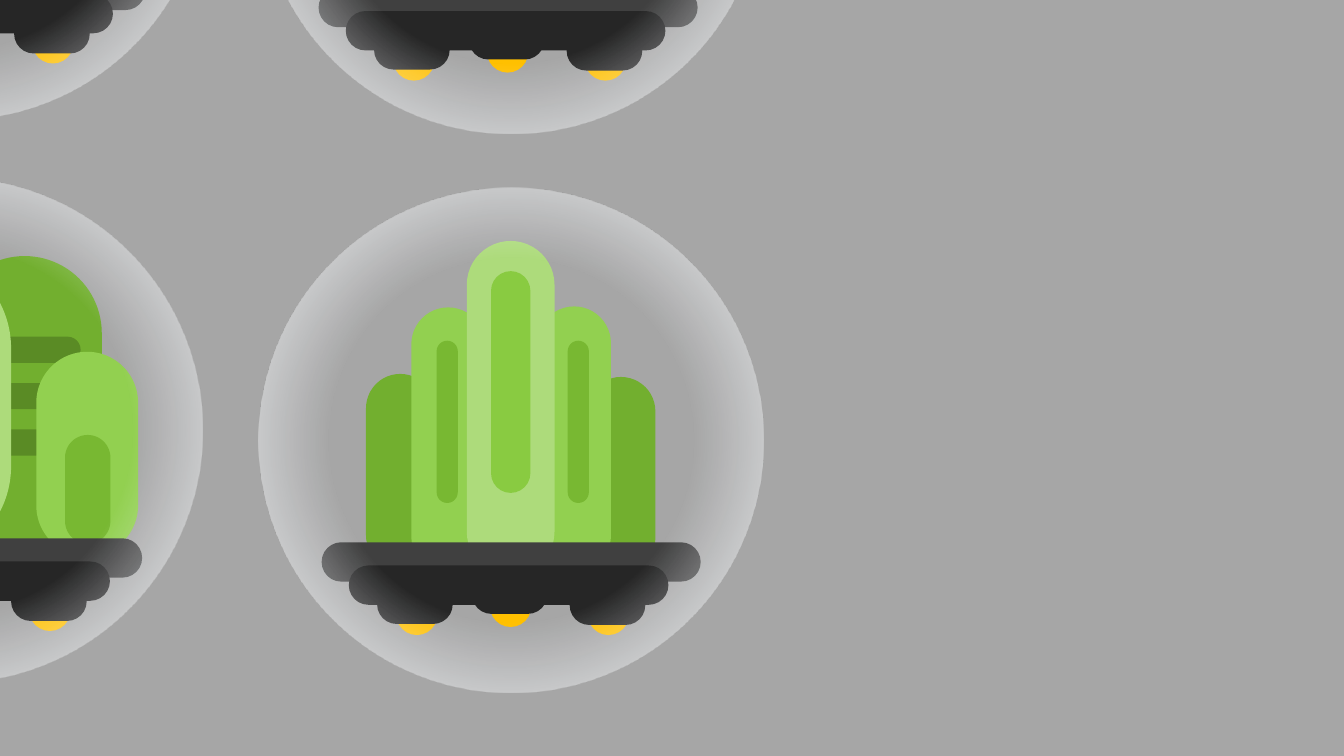
from dataclasses import dataclass

from lxml.etree import fromstring
from pptx import Presentation
from pptx.dml.color import RGBColor
from pptx.enum.shapes import MSO_SHAPE
from pptx.oxml.ns import qn
from pptx.util import Inches


@dataclass(frozen=True)
class Theme:
    """Colours of the slide."""
    back: str = "A6A6A6"
    pale: str = "ADDB7B"
    light: str = "92D050"
    fresh: str = "89CB41"
    moss: str = "78B832"
    leaf: str = "72AF2F"
    deep: str = "5A8B25"
    flame: str = "FFC000"
    deck: str = "404040"
    hull: str = "262626"
    haze: str = "F7FAFD"
    white: str = "FFFFFF"


THEME = Theme()
DOME = 5.01
LEFT, MID, RIGHT = (
    ((0.55, 0.42), (0.74, 0.44)),
    ((1.49, 0.32), (1.67, 0.36)),
    ((2.46, 0.43), (2.64, 0.44)),
)
GLOW = f"""
<a:gradFill xmlns:a="http://schemas.openxmlformats.org/drawingml/2006/main" rotWithShape="1">
  <a:gsLst>
    <a:gs pos="51000"><a:srgbClr val="{THEME.haze}"><a:alpha val="0"/></a:srgbClr></a:gs>
    <a:gs pos="100000"><a:srgbClr val="{THEME.white}"/></a:gs>
  </a:gsLst>
  <a:path path="circle"><a:fillToRect l="50000" t="50000" r="50000" b="50000"/></a:path>
</a:gradFill>"""


def add_form(group, kind, left, top, width, height):
    """Add a preset shape with no line and no shadow."""
    form = group.shapes.add_shape(
        kind, Inches(left), Inches(top), Inches(width), Inches(height))
    form.shadow.inherit = False
    form.line.fill.background()
    return form


def add_pill(group, colour, left, top, width, height, turn=0):
    """Add a bar with fully round ends."""
    pill = add_form(group, MSO_SHAPE.ROUNDED_RECTANGLE, left, top, width, height)
    pill.adjustments[0] = 0.5
    pill.rotation = turn
    pill.fill.solid()
    pill.fill.fore_color.rgb = RGBColor.from_string(colour)


def add_base(group, left, top, pods):
    """Add the dark deck with its pods and flames."""
    for _, (across, down) in pods:
        add_pill(group, THEME.flame, left + across, top + down, 0.41, 0.48)
    add_pill(group, THEME.deck, left, top, 3.76, 0.39)
    add_pill(group, THEME.hull, left + 0.27, top + 0.23, 3.17, 0.39)
    for (across, down), _ in pods:
        add_pill(group, THEME.hull, left + across, top + down, 0.75, 0.39)


def add_dome(group, left, top):
    """Add the clear globe that glows towards its rim."""
    dome = add_form(group, MSO_SHAPE.OVAL, left, top, DOME, DOME)
    dome.fill.background()
    props = dome.element.spPr
    props.replace(props.find(qn("a:noFill")), fromstring(GLOW))


def add_globe(slide, plants, base, pods, dome):
    """Add one globe: plants, then the base, then the dome on top."""
    group = slide.shapes.add_group_shape()
    for plant in plants:
        add_pill(group, *plant)
    add_base(group, *base, pods)
    add_dome(group, *dome)


def list_bush():
    """List the parts of the striped bush."""
    stripes = [(THEME.deep, -0.1 + 0.035 * row, 3.34 + 0.46 * row, 0.9, 0.26)
               for row in range(3)]
    return [
        (THEME.leaf, -0.52, 2.54, 1.53, 3.05),
        *stripes,
        (THEME.pale, -1.84, 2.48, 1.95, 3.12),
        (THEME.light, 0.36, 3.49, 1.01, 2.03),
        (THEME.moss, 0.33, 4.63, 1.08, 0.45, 90),
    ]


def list_cactus():
    """List the parts of the tall cactus."""
    return [
        (THEME.leaf, 3.63, 3.71, 0.68, 1.94),
        (THEME.light, 4.08, 3.05, 0.73, 2.64),
        (THEME.leaf, 5.82, 3.74, 0.68, 1.94),
        (THEME.light, 5.33, 3.04, 0.73, 2.64),
        (THEME.pale, 4.63, 2.39, 0.87, 3.32),
        (THEME.moss, 3.63, 4.08, 1.61, 0.21, 90),
        (THEME.fresh, 4.87, 2.69, 0.39, 2.2),
        (THEME.moss, 4.93, 4.08, 1.61, 0.21, 90),
    ]


def main():
    """Build the slide and save it."""
    deck = Presentation()
    deck.slide_width, deck.slide_height = Inches(13.33), Inches(7.5)
    slide = deck.slides.add_slide(deck.slide_layouts[6])
    fill = slide.background.fill
    fill.solid()
    fill.fore_color.rgb = RGBColor.from_string(THEME.back)
    full = (LEFT, RIGHT, MID)
    add_globe(slide, [], (-2.32, -0.29), (RIGHT,), (-2.96, -3.82))
    add_globe(slide, [], (3.16, -0.12), full, (2.56, -3.69))
    add_globe(slide, list_bush(), (-2.35, 5.34), (RIGHT,), (-3, 1.76))
    add_globe(slide, list_cactus(), (3.19, 5.38), full, (2.56, 1.86))
    deck.save("out.pptx")


if __name__ == "__main__":
    main()
